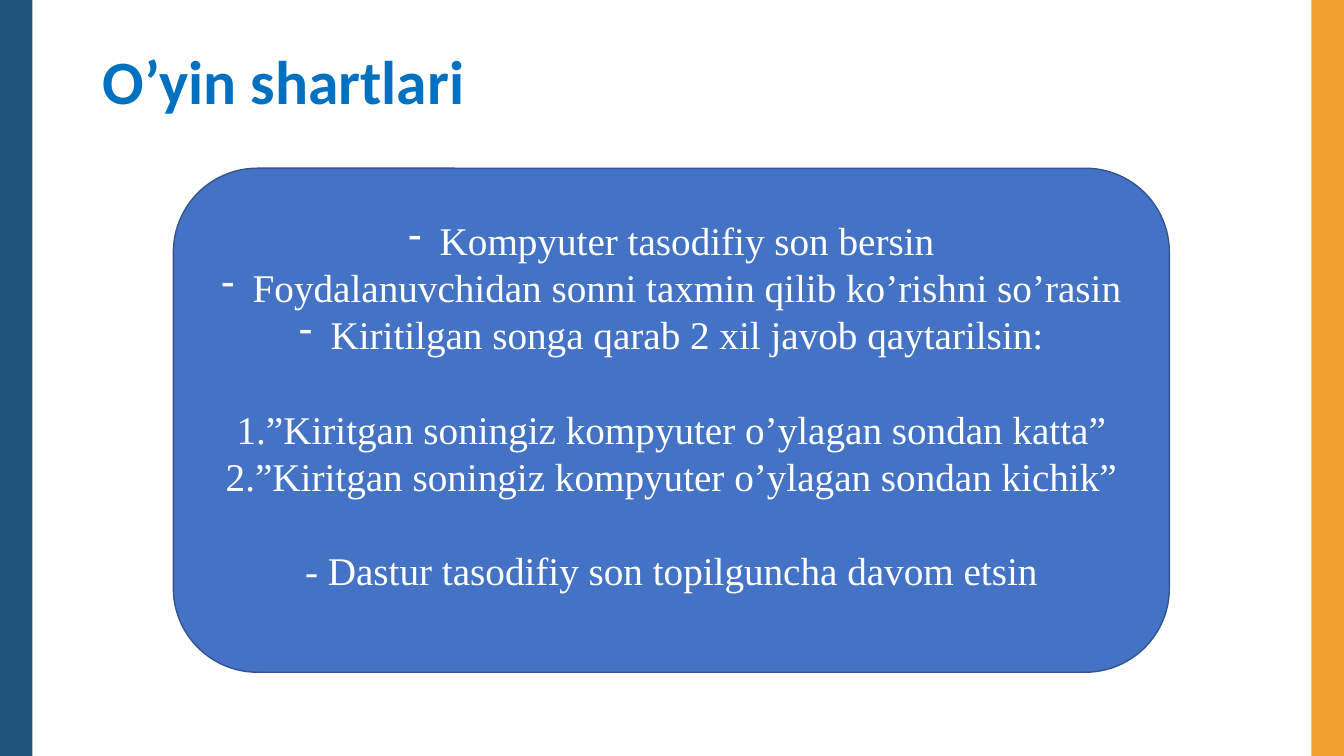
from pptx import Presentation
from pptx.dml.color import RGBColor
from pptx.enum import shapes, text
from pptx.util import Cm, Pt
from lxml import etree

HUES = {"title": "0070C0", "left": "1D537C", "right": "F2A130",
        "panel": "4472C4", "edge": "325491", "text": "FFFFFF"}
NS = "{http://schemas.openxmlformats.org/drawingml/2006/main}"

deck = Presentation()
deck.slide_width, deck.slide_height = Cm(33.87), Cm(19.05)
slide = deck.slides.add_slide(deck.slide_layouts[5])


def hue(name):
    return RGBColor.from_string(HUES[name])


def block(kind, left, top, width, height, fill):
    shape = slide.shapes.add_shape(kind, Cm(left), Cm(top), Cm(width), Cm(height))
    shape.shadow.inherit = False
    shape.fill.solid()
    shape.fill.fore_color.rgb = hue(fill)
    shape.line.fill.background()
    return shape


# Title
title = slide.shapes.title
title.left, title.top, title.width, title.height = Cm(2.33), Cm(0.3), Cm(29.21), Cm(3.68)
title.text_frame.vertical_anchor = text.MSO_ANCHOR.MIDDLE
para = title.text_frame.paragraphs[0]
para.alignment = text.PP_ALIGN.LEFT
para.line_spacing = 0.9
run = para.add_run()
run.text = "O’yin shartlari"
run.font.name, run.font.size, run.font.bold = "Calibri", Pt(44), True
run.font.color.rgb = hue("title")

# Side bands
for left, name in ((0, "left"), (33.05, "right")):
    block(shapes.MSO_SHAPE.RECTANGLE, left, 0, 0.82, 19.05, name)

# Rules panel
panel = block(shapes.MSO_SHAPE.ROUNDED_RECTANGLE, 4.37, 4.24, 25.1, 12.7, "panel")
panel.line.color.rgb = hue("edge")
panel.line.width = Pt(1)
frame = panel.text_frame
frame.word_wrap = True
frame.vertical_anchor = text.MSO_ANCHOR.MIDDLE
frame.margin_bottom = Cm(0.9)

# Rules: wording, dash bullet, gap above
rules = [
    ("Kompyuter tasodifiy son bersin", True, False),
    ("Foydalanuvchidan sonni taxmin qilib ko’rishni so’rasin", True, False),
    ("Kiritilgan songa qarab 2 xil javob qaytarilsin:", True, False),
    ("1.”Kiritgan soningiz kompyuter o’ylagan sondan katta”", False, True),
    ("2.”Kiritgan soningiz kompyuter o’ylagan sondan kichik”", False, False),
    ("- Dastur tasodifiy son topilguncha davom etsin", False, True),
]
for i, (words, dash, gap) in enumerate(rules):
    para = frame.add_paragraph() if i else frame.paragraphs[0]
    para.alignment = text.PP_ALIGN.CENTER
    if gap:
        para.space_before = Pt(33.6)
    if dash:
        props = para._p.get_or_add_pPr()
        props.set("marL", str(Cm(0.79)))
        props.set("indent", str(-Cm(0.79)))
        etree.SubElement(props, NS + "buFontTx")
        etree.SubElement(props, NS + "buChar", char="-")
    run = para.add_run()
    run.text = words
    run.font.name, run.font.size = "Times New Roman", Pt(28)
    run.font.color.rgb = hue("text")

deck.save("out.pptx")
